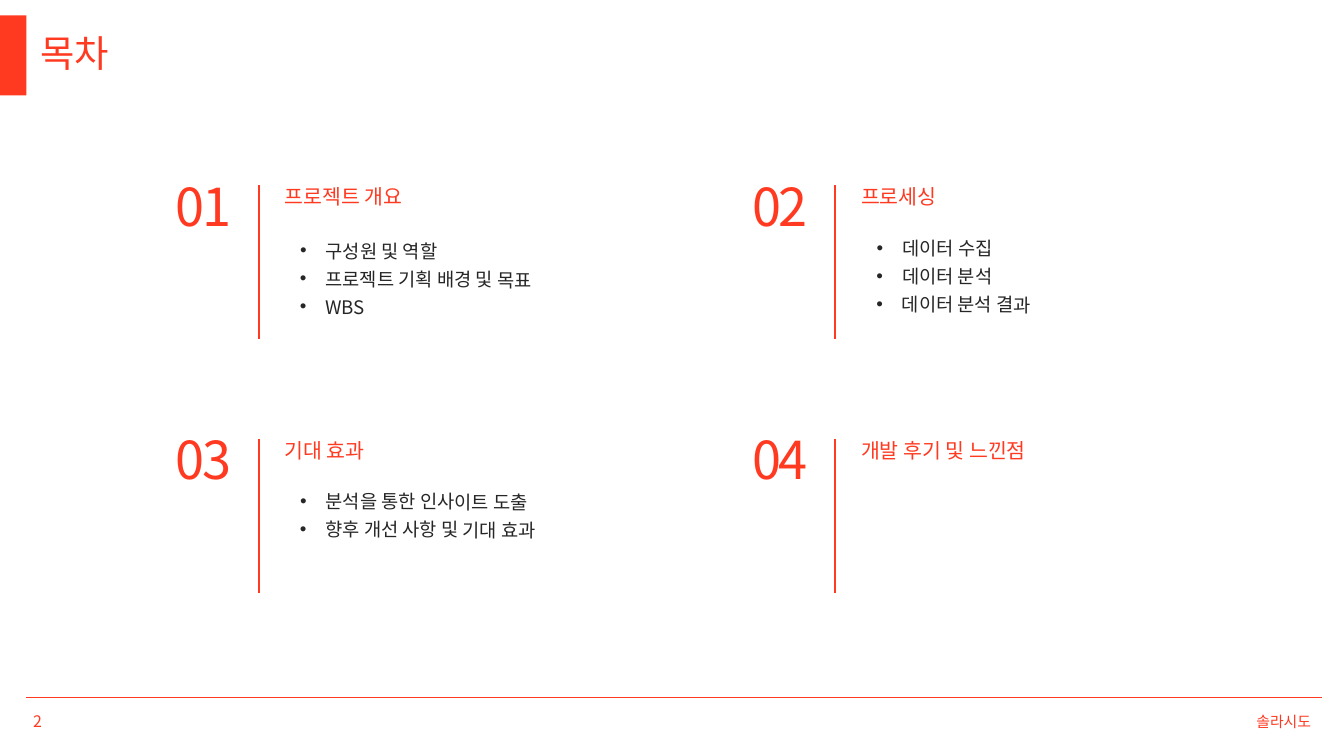
import pptx
import pptx.dml.color
import pptx.enum.shapes
import pptx.enum.text
import pptx.oxml.ns
import pptx.util
import lxml.etree

Cm, Pt = pptx.util.Cm, pptx.util.Pt
Align = pptx.enum.text.PP_ALIGN
Anchor = pptx.enum.text.MSO_ANCHOR

# Content: list_top is the distance from the top of the section's row
TITLE = "목차"
SECTIONS = [
    dict(number="01", heading="프로젝트 개요", list_top=1.85,
         items=["구성원 및 역할", "프로젝트 기획 배경 및 목표", "WBS"]),
    dict(number="02", heading="프로세싱", list_top=1.75,
         items=["데이터 수집", "데이터 분석", "데이터 분석 결과"]),
    dict(number="03", heading="기대 효과", list_top=1.73,
         items=["분석을 통한 인사이트 도출", "향후 개선 사항 및 기대 효과"]),
    dict(number="04", heading="개발 후기 및 느낀점", list_top=1.75, items=[]),
]
PAGE_NUMBER = "2"
TEAM = "솔라시도"

THEME = dict(
    font="Noto Sans CJK KR",
    accent="FF3A21", footer="FF3921", body="262626",
    title=40, number=56, heading=22, item=20, team=16, page=17,
)

# Grid in centimetres
COLUMNS = 2
LEFT, TOP = 6.35, 7.01
COLUMN_STEP, ROW_STEP = 21.79, 9.58
DIVIDER_OFFSET, DIVIDER_HEIGHT = 3.43, 5.82
TEXT_OFFSET = 4.41
ITEM_HEIGHT = 1.04


def color(name):
    return pptx.dml.color.RGBColor.from_string(THEME[name])


def qualified(tag):
    return pptx.oxml.ns.qn(tag)


def add_text(page, lines, left, top, width, height, *, size, fill="accent",
             align=Align.LEFT, anchor=Anchor.TOP, inset=(0, 0), leading=None,
             tracking=None, bullet=False, rotation=0):
    box = page.shapes.add_textbox(Cm(left), Cm(top), Cm(width), Cm(height))
    box.rotation = rotation
    frame = box.text_frame
    frame.word_wrap = True
    frame.vertical_anchor = anchor
    frame.margin_left = frame.margin_right = Cm(inset[0])
    frame.margin_top = frame.margin_bottom = Cm(inset[1])
    for index, line in enumerate(lines):
        para = frame.paragraphs[0] if index == 0 else frame.add_paragraph()
        para.alignment = align
        if leading:
            para.line_spacing = Pt(leading)
        if bullet:
            para.level = 1
            properties = para._p.get_or_add_pPr()
            properties.set("marL", str(Cm(1.55)))
            properties.set("indent", str(Cm(-0.97)))
            lxml.etree.SubElement(properties, qualified("a:buFont"), typeface="Arial")
            lxml.etree.SubElement(properties, qualified("a:buChar"), char="•")
        span = para.add_run()
        span.text = line
        span.font.size = Pt(THEME[size])
        span.font.color.rgb = color(fill)
        span.font.name = THEME["font"]
        run_properties = span._r.get_or_add_rPr()
        lxml.etree.SubElement(run_properties, qualified("a:ea"), typeface=THEME["font"])
        if tracking:
            run_properties.set("spc", str(round(tracking * 100)))
    return box


def add_line(page, start, end, weight):
    line = page.shapes.add_connector(
        pptx.enum.shapes.MSO_CONNECTOR.STRAIGHT, *map(Cm, start + end))
    line.line.color.rgb = color("accent")
    line.line.width = Pt(weight)
    lxml.etree.SubElement(line._element.spPr, qualified("a:effectLst"))


def add_section(page, section, left, top):
    divider = left + DIVIDER_OFFSET
    add_line(page, (divider, top), (divider, top + DIVIDER_HEIGHT), 2)
    add_text(page, [section["number"]], left, top - 0.19, 2.69, 2.13,
             size="number", align=Align.CENTER, leading=60.5, tracking=-2.6)
    add_text(page, [section["heading"]], left + TEXT_OFFSET, top + 0.03, 9.09, 0.86,
             size="heading", leading=24.2)
    items = section["items"]
    if items:
        add_text(page, items, left + TEXT_OFFSET, top + section["list_top"],
                 9.6, ITEM_HEIGHT * len(items), size="item", fill="body",
                 leading=30, bullet=True, rotation=0.3)


def main():
    deck = pptx.Presentation()
    deck.slide_width, deck.slide_height = Cm(50.8), Cm(28.58)
    page = deck.slides.add_slide(deck.slide_layouts[6])

    # Title with its side tab
    tab = page.shapes.add_shape(pptx.enum.shapes.MSO_SHAPE.RECTANGLE,
                                Cm(0), Cm(0.58), Cm(1), Cm(3.03))
    tab.shadow.inherit = False
    tab.fill.solid()
    tab.fill.fore_color.rgb = color("accent")
    tab.line.fill.background()
    add_text(page, [TITLE], 1.52, 1.47, 45.09, 1.42, size="title", leading=38.4)

    # Contents grid
    for index, section in enumerate(SECTIONS):
        row, column = divmod(index, COLUMNS)
        add_section(page, section, LEFT + column * COLUMN_STEP, TOP + row * ROW_STEP)

    # Footer
    footer = dict(fill="footer", anchor=Anchor.MIDDLE, inset=(0.25, 0.13))
    add_text(page, [TEAM], 41.76, 26.77, 8.05, 1.02, size="team",
             align=Align.RIGHT, **footer)
    add_text(page, [PAGE_NUMBER], 1, 26.77, 5.92, 1.02, size="page", **footer)
    add_line(page, (1, 26.37), (49.96, 26.37), 1.5)

    deck.save("out.pptx")


if __name__ == "__main__":
    main()
